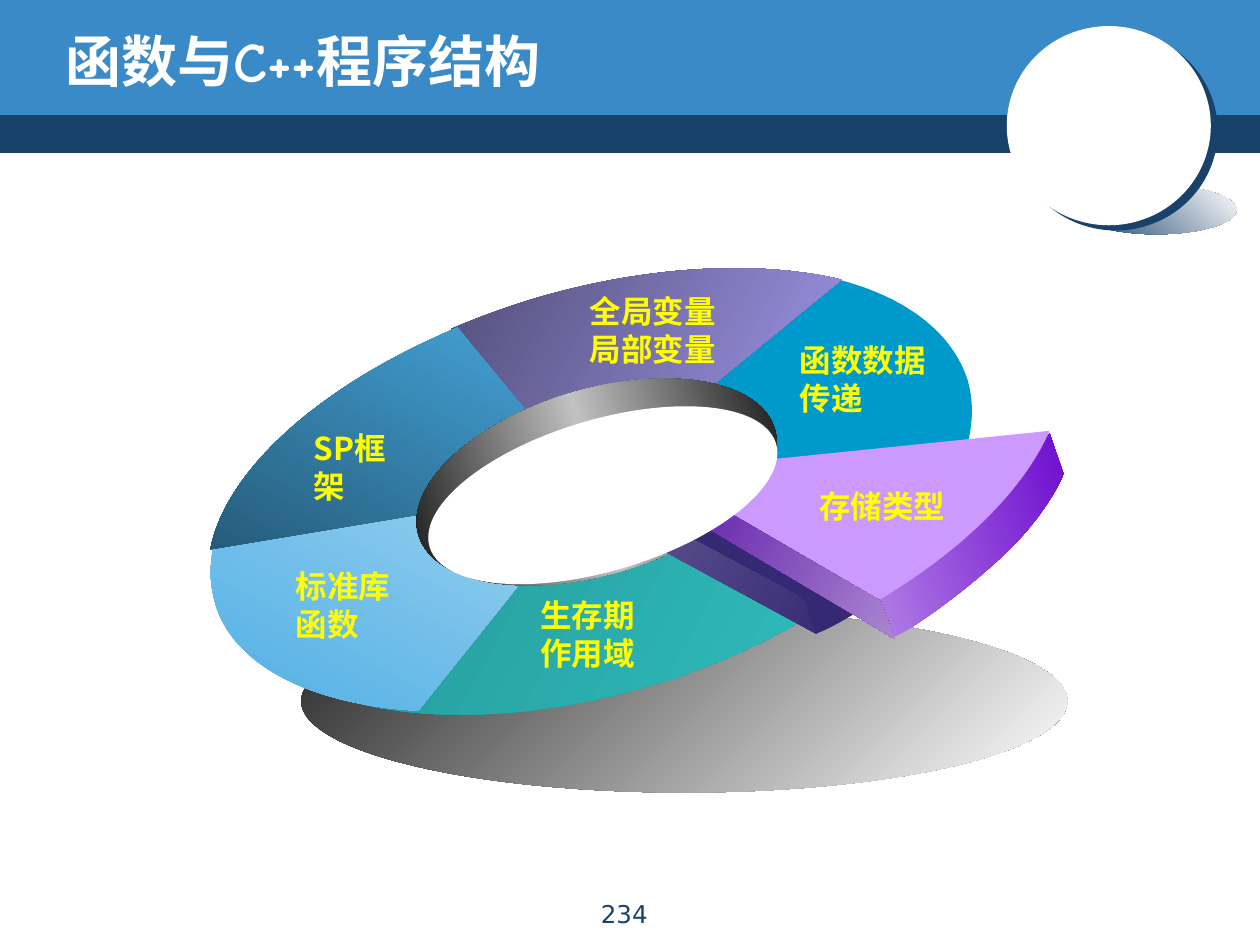
from dataclasses import dataclass
from math import cos, radians, sin
from typing import Optional, Union

from lxml.etree import SubElement
from pptx import Presentation
from pptx.dml.color import RGBColor
from pptx.enum.shapes import MSO_SHAPE as Geo
from pptx.enum.text import MSO_ANCHOR as Anchor, PP_ALIGN as Align
from pptx.oxml.ns import qn
from pptx.util import Pt

CJK = "Noto Sans CJK SC"
NAVY, BLUE, WHITE, YELLOW = "19426B", "398AC7", "FFFFFF", "FFFF00"
TILT = 343.4


@dataclass
class Tone:
    """A colour with a shade or tint in percent."""
    color: str
    change: str = ""
    percent: int = 100


@dataclass
class Gradient:
    stops: tuple
    angle: int = 45


Fill = Union[str, Gradient]


@dataclass
class Plain:
    """Preset shape; box is left, top, width, height."""
    geo: int
    box: tuple
    fill: Fill
    rot: float = 0


@dataclass
class Piece:
    """Closed outline: a pair is a corner, six numbers are a Bezier curve."""
    fill: Fill
    steps: tuple
    rot: float = TILT


@dataclass
class Label:
    text: str
    box: tuple
    size: int = 18
    font: str = CJK
    color: str = YELLOW
    bold: bool = True
    align: Optional[int] = None
    anchor: int = Anchor.TOP


def rgb(color: str) -> RGBColor:
    return RGBColor.from_string(color)


def paint(sp, fill: Fill) -> None:
    sp.shadow.inherit = False
    sp.line.fill.background()
    if isinstance(fill, str):
        sp.fill.solid()
        sp.fill.fore_color.rgb = rgb(fill)
        return
    sp.fill.gradient()
    sp.fill.gradient_angle = -fill.angle % 360
    stops = sp._element.spPr.find(qn("a:gradFill")).find(qn("a:gsLst"))
    for stop in list(stops):
        stops.remove(stop)
    for i, tone in enumerate(fill.stops):
        pos = round(100000 * i / (len(fill.stops) - 1))
        stop = SubElement(stops, qn("a:gs"), pos=str(pos))
        color = SubElement(stop, qn("a:srgbClr"), val=tone.color)
        if tone.change:
            SubElement(color, qn("a:gamma"))
            SubElement(color, qn("a:" + tone.change), val=str(tone.percent * 1000))
            SubElement(color, qn("a:invGamma"))


def draw_plain(s, item: Plain):
    sp = s.shapes.add_shape(item.geo, *map(Pt, item.box))
    sp.rotation = item.rot
    paint(sp, item.fill)
    return sp


def turn(x: float, y: float, degrees: float) -> tuple:
    a = radians(degrees)
    return x * cos(a) - y * sin(a), x * sin(a) + y * cos(a)


def bend(sp, steps: tuple) -> None:
    """Join each three segments that stand for a curve into one Bezier."""
    outline = next(sp._element.iter(qn("a:path")))
    lines = iter(outline.findall(qn("a:lnTo")))
    for step in steps[1:]:
        first = next(lines)
        if len(step) == 6:
            curve = outline.makeelement(qn("a:cubicBezTo"))
            first.addprevious(curve)
            for line in (first, next(lines), next(lines)):
                curve.append(line[0])
                outline.remove(line)


def draw_piece(s, piece: Piece) -> None:
    # Lay the outline level, then tilt the shape back about its own centre
    points = [tuple(map(Pt, turn(step[i], step[i + 1], -piece.rot)))
              for step in piece.steps for i in range(0, len(step), 2)]
    builder = s.shapes.build_freeform(*points[0])
    builder.add_line_segments(points[1:], close=True)
    sp = builder.convert_to_shape()
    bend(sp, piece.steps)
    x, y = turn(sp.left + sp.width / 2, sp.top + sp.height / 2, piece.rot)
    sp.left, sp.top = round(x - sp.width / 2), round(y - sp.height / 2)
    sp.rotation = piece.rot
    paint(sp, piece.fill)


def draw_label(s, label: Label) -> None:
    tf = s.shapes.add_textbox(*map(Pt, label.box)).text_frame
    tf.word_wrap = True
    tf.vertical_anchor = label.anchor
    tf.text = label.text
    for p in tf.paragraphs:
        p.alignment = label.align
        for r in p.runs:
            r.font.size, r.font.bold, r.font.name = Pt(label.size), label.bold, label.font
            r.font.color.rgb = rgb(label.color)
            SubElement(r._r.rPr, qn("a:ea"), typeface=CJK)


def add_shadow(sp, color: str, distance: float, angle: int) -> None:
    effects = sp._element.spPr.find(qn("a:effectLst"))
    shadow = SubElement(effects, qn("a:outerShdw"), dist=str(Pt(distance)),
                        dir=str(angle * 60000), algn="ctr", rotWithShape="0")
    SubElement(shadow, qn("a:srgbClr"), val=color)


HEADER = [
    Plain(Geo.RECTANGLE, (0, 62.6, 720, 24.8), NAVY),
    Plain(Geo.RECTANGLE, (0, 0, 720, 65.7), BLUE),
    Plain(Geo.OVAL, (615, 105.8, 91.6, 28.1), Gradient((Tone(NAVY), Tone(WHITE)), 315)),
]
BADGE = Plain(Geo.OVAL, (575.3, 14.9, 116.6, 113.8), WHITE)

RING_BASE = [
    Plain(Geo.OVAL, (172.1, 348.5, 437.8, 104.4), Gradient((Tone("292929"), Tone(WHITE)))),
    Plain(Geo.OVAL, (119.5, 166.3, 438.5, 230.4),
          Gradient((Tone("33CCCC", "shade", 64), Tone("33CCCC"))), TILT),
]
SLICES = [
    Piece("0099CC", ((476.6, 159.1), (517.7, 169.2, 544.3, 190.1, 553, 217.4),
                     (557.3, 232.6, 555.8, 249.1, 548.6, 266.4), (337.7, 282.2))),
    Piece(Gradient((Tone("47ABE3", "tint", 45), Tone("47ABE3")), 135),
          ((123.8, 306), (119.5, 319.7, 119.5, 332.6, 123.1, 344.9),
           (133.2, 379.4, 176.4, 402.5, 239, 406.1), (339.8, 280.1))),
    Piece(Gradient((Tone("AAA0F8", "shade", 47), Tone("AAA0F8"))),
          ((257.8, 187.9), (272.9, 181.4, 288.7, 175.7, 305.3, 170.6),
           (368.6, 151.9, 432.7, 148.3, 481, 159.8), (337, 277.9))),
    Piece(Gradient((Tone("47ABE3"), Tone("47ABE3", "shade", 47)), 135),
          ((261.4, 187.2), (183.6, 219.6, 128.9, 268.6, 120.2, 313.9), (336.2, 277.9))),
]
HOLE_WALL = Plain(Geo.OVAL, (234.7, 222.5, 212.4, 105.8), Gradient(
    (Tone("000000"), Tone(WHITE, "shade", 76), Tone("000000")), 0), TILT)
HOLE = Plain(Geo.OVAL, (241.2, 239.8, 206.6, 86.4), WHITE, TILT)

PULLED_SLICE = [
    # Dark gap left in the ring
    Piece("352973", ((564.5, 256.3), (547.2, 286.6, 509.8, 317.5, 458.6, 342.7),
                     (328.3, 273.6)), 345.2),
    Piece(Gradient((Tone("352973", "tint", 73), Tone("352973"))),
          ((460.1, 342.7), (466.6, 362.2), (337.7, 292.3), (330.5, 272.9)), 345.2),
    Piece("352973", ((458.6, 339.8), (563.8, 256.3), (570.2, 277.2),
                     (565.2, 287.3, 550.8, 305.3, 533.5, 319.7),
                     (515.5, 334.1, 478.1, 358.6, 465.8, 362.2),
                     (463.7, 353.5, 460.1, 344.9, 458.6, 339.8)), 345.2),
    # Rim, top and side of the slice itself
    Piece(Gradient((Tone("6600CC", "tint", 45), Tone("6600CC")), 0),
          ((500.4, 339.8), (599.8, 247.7), (607.7, 270.7),
           (603.4, 282.2, 589.7, 302.4, 573.1, 317.5),
           (556.6, 333.4, 521.3, 360.7, 509, 364.3),
           (506.9, 355, 501.8, 344.9, 500.4, 339.8))),
    Piece("CC99FF", ((599.8, 246.2), (585.4, 279.4, 550.8, 313.9, 502.6, 342.7),
                     (367.2, 270)), 342.3),
    Piece(Gradient((Tone("5007A1"), Tone("5007A1", "tint", 45))),
          ((503.3, 343.4), (511.2, 365), (380.9, 288), (372.2, 267.1))),
]

LABELS = [
    Label("函数与C++程序结构", (30.2, 12.2, 581.8, 44.6), 32, "Comic Neue", WHITE,
          anchor=Anchor.MIDDLE),
    Label("234", (291.6, 510.2, 130.3, 23), 14, "DejaVu Sans", NAVY, False, Align.CENTER),
    Label("函数数据\n传递", (450, 191.5, 87.8, 51.1)),
    Label("全局变量\n局部变量", (329.8, 163.2, 87.8, 51.1)),
    Label("SP框架", (172.1, 241.9, 69.8, 28.8)),
    Label("标准库\n函数", (162, 320.4, 69.1, 51.1)),
    Label("生存期\n作用域", (301.7, 337, 69.1, 51.1)),
    Label("存储类型", (461.2, 274.6, 87.8, 28.8)),
]


def main() -> None:
    prs = Presentation()
    prs.slide_width, prs.slide_height = Pt(720), Pt(540)
    s = prs.slides.add_slide(prs.slide_layouts[6])
    # Header
    for item in HEADER:
        draw_plain(s, item)
    add_shadow(draw_plain(s, BADGE), NAVY, 5, 37)
    # Ring with its pulled-out slice
    for item in RING_BASE:
        draw_plain(s, item)
    for piece in SLICES:
        draw_piece(s, piece)
    draw_plain(s, HOLE_WALL)
    for piece in PULLED_SLICE:
        draw_piece(s, piece)
    draw_plain(s, HOLE)
    # Title, page number and slice names
    for label in LABELS:
        draw_label(s, label)
    prs.save("out.pptx")


if __name__ == "__main__":
    main()
